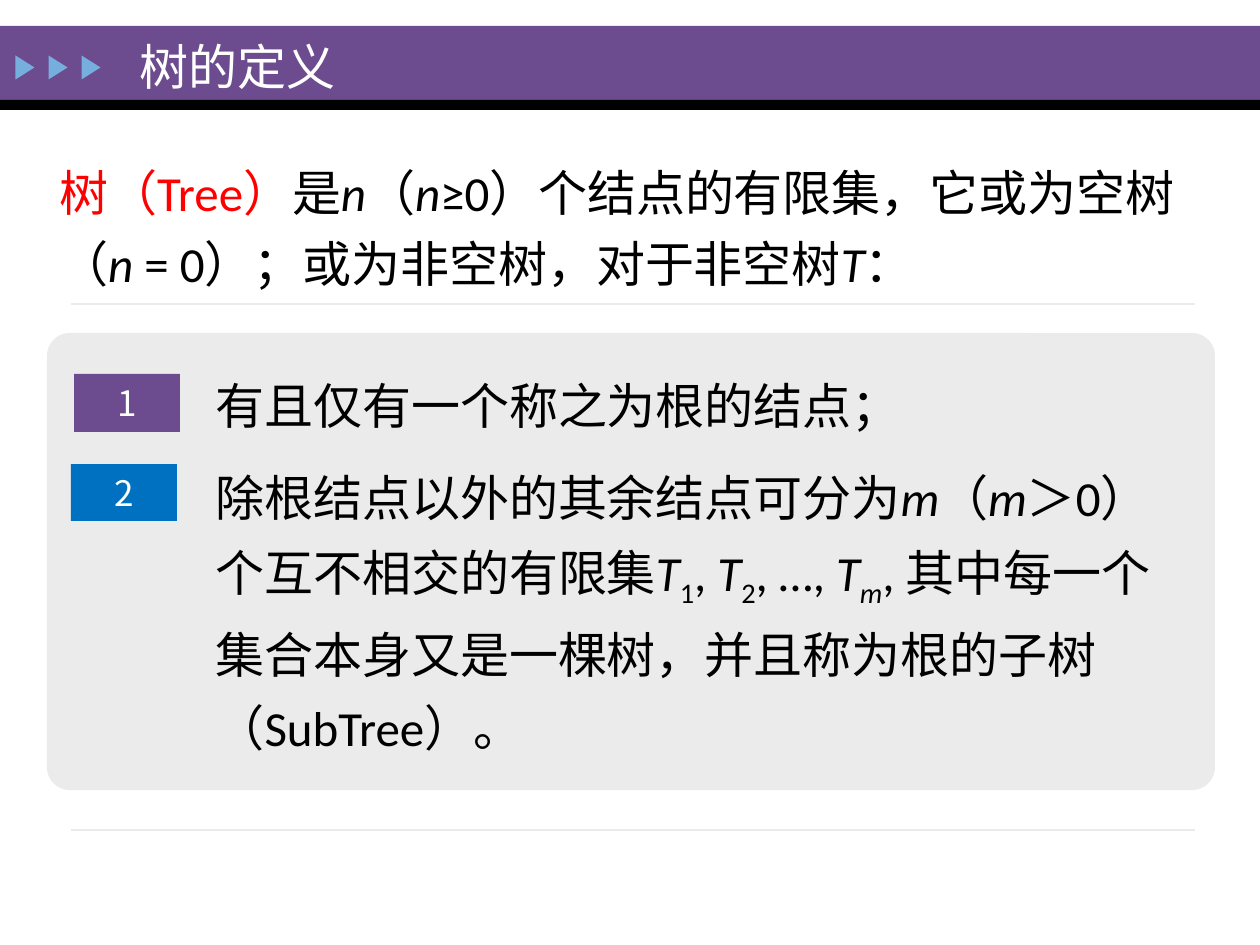
from dataclasses import dataclass

from lxml import etree
from pptx import Presentation
from pptx.dml.color import RGBColor
from pptx.enum.shapes import MSO_CONNECTOR, MSO_SHAPE
from pptx.enum.text import MSO_ANCHOR, MSO_AUTO_SIZE, PP_ALIGN
from pptx.oxml.ns import qn
from pptx.util import Pt

RECT, ROUNDED = MSO_SHAPE.RECTANGLE, MSO_SHAPE.ROUNDED_RECTANGLE
TRIANGLE = MSO_SHAPE.ISOSCELES_TRIANGLE
STRAIGHT = MSO_CONNECTOR.STRAIGHT
TOP, MIDDLE = MSO_ANCHOR.TOP, MSO_ANCHOR.MIDDLE
LEFT, CENTER = PP_ALIGN.LEFT, PP_ALIGN.CENTER
NO_FIT = MSO_AUTO_SIZE.NONE

EMU_PER_PX = 914400 / 126
WIDTH, HEIGHT = 1260, 945


@dataclass(frozen=True)
class Theme:
    purple: str = "6C4C8F"
    blue: str = "0070C0"
    arrow: str = "76AEDD"
    panel: str = "EBEBEB"
    black: str = "000000"
    white: str = "FFFFFF"
    red: str = "FF0000"
    font: str = "Calibri"
    badge_font: str = "Noto Sans CJK SC"
    text_size: int = 28
    badge_size: int = 20


THEME = Theme()

# Runs are (text, style): i = italic, s = subscript, r = red
DEFINITION = [
    ("树（Tree）", "r"), ("是", ""), ("n", "i"), ("（", ""), ("n", "i"),
    ("≥0）个结点的有限集，它或为空树（", ""), ("n ", "i"),
    ("= 0）；或为非空树，对于非空树", ""), ("T", "i"), ("：", ""),
]
CONDITIONS = [
    [("有且仅有一个称之为根的结点；", "")],
    [
        ("除根结点以外的其余结点可分为", ""), ("m", "i"), ("（", ""), ("m", "i"),
        ("＞0）个互不相交的有限集", ""), ("T", "i"), ("1", "s"), (", ", ""),
        ("T", "i"), ("2", "s"), (", …, ", ""), ("T", "i"), ("m", "is"),
        (", 其中每一个集合本身又是一棵树，并且称为根的子树（SubTree）。", ""),
    ],
]


def px(length):
    return round(length * EMU_PER_PX)


def rgb(color):
    return RGBColor.from_string(color)


def place(shape, left, top, width, height):
    shape.left, shape.top = px(left), px(top)
    shape.width, shape.height = px(width), px(height)


def write(shape, paragraphs, *, size=THEME.text_size, font=THEME.font,
          color=THEME.black, align=LEFT, anchor=TOP, spacing=1.0, before=0):
    frame = shape.text_frame
    frame.word_wrap = True
    frame.auto_size = NO_FIT
    frame.vertical_anchor = anchor
    for index, runs in enumerate(paragraphs):
        paragraph = frame.add_paragraph() if index else frame.paragraphs[0]
        paragraph.alignment = align
        paragraph.line_spacing = spacing
        paragraph.space_before = Pt(before)
        for text, style in runs:
            run = paragraph.add_run()
            run.text = text
            run.font.name = font
            run.font.size = Pt(size)
            run.font.italic = "i" in style
            run.font.color.rgb = rgb(THEME.red if "r" in style else color)
            if "s" in style:
                run.font._element.set("baseline", "-25000")


def add_block(slide, kind, box, fill):
    block = slide.shapes.add_shape(kind, *map(px, box))
    block.shadow.inherit = False
    block.fill.solid()
    block.fill.fore_color.rgb = rgb(fill)
    block.line.fill.background()
    return block


def add_rule(slide, y):
    rule = slide.shapes.add_connector(STRAIGHT, px(71), px(y), px(1195), px(y))
    rule.line.color.rgb = rgb(THEME.panel)
    rule.line.width = Pt(0.75)
    etree.SubElement(rule._element.spPr, qn("a:effectLst"))


def add_header(slide):
    add_block(slide, RECT, (0, 26, WIDTH, 75), THEME.purple)
    add_block(slide, RECT, (0, 100, WIDTH, 10), THEME.black)
    for index in range(3):
        arrow = add_block(slide, TRIANGLE, (13 + 33 * index, 58, 24, 19), THEME.arrow)
        arrow.rotation = 90
    title = slide.shapes.title
    place(title, 127, 30, 339, 71)
    write(title, [[("树的定义", "")]], color=THEME.white, anchor=MIDDLE)
    bring_to_front(slide, title)


def add_definition(slide):
    definition = slide.shapes.add_textbox(*map(px, (47, 145, 1183, 155)))
    write(definition, [DEFINITION], spacing=1.2, before=5.6)


def add_badge(slide, number, box, fill):
    badge = add_block(slide, RECT, box, fill)
    write(badge, [[(number, "")]], size=THEME.badge_size, font=THEME.badge_font,
          color=THEME.white, align=CENTER, anchor=MIDDLE, before=4)


def add_conditions(slide):
    conditions = slide.placeholders[1]
    place(conditions, 203, 355, 992, 394)
    write(conditions, CONDITIONS, spacing=1.25, before=10)
    # The numbered badges stand in for bullets
    for paragraph in conditions.text_frame.paragraphs:
        properties = paragraph._p.get_or_add_pPr()
        properties.set("marL", "0")
        properties.set("indent", "0")
        etree.SubElement(properties, qn("a:buNone"))
    bring_to_front(slide, conditions)


def bring_to_front(slide, shape):
    slide.shapes._spTree.append(shape._element)


def main():
    presentation = Presentation()
    presentation.slide_width, presentation.slide_height = px(WIDTH), px(HEIGHT)
    slide = presentation.slides.add_slide(presentation.slide_layouts[1])

    # Header band with title
    add_header(slide)

    # Definition above the panel
    add_definition(slide)

    # Panel with the two numbered conditions
    panel = add_block(slide, ROUNDED, (47, 333, 1168, 457), THEME.panel)
    panel.adjustments[0] = 0.05
    add_badge(slide, "1", (74, 374, 106, 58), THEME.purple)
    add_badge(slide, "2", (71, 464, 106, 57), THEME.blue)
    add_conditions(slide)

    # Thin rules
    for y in (304, 830):
        add_rule(slide, y)

    presentation.save("out.pptx")


if __name__ == "__main__":
    main()
